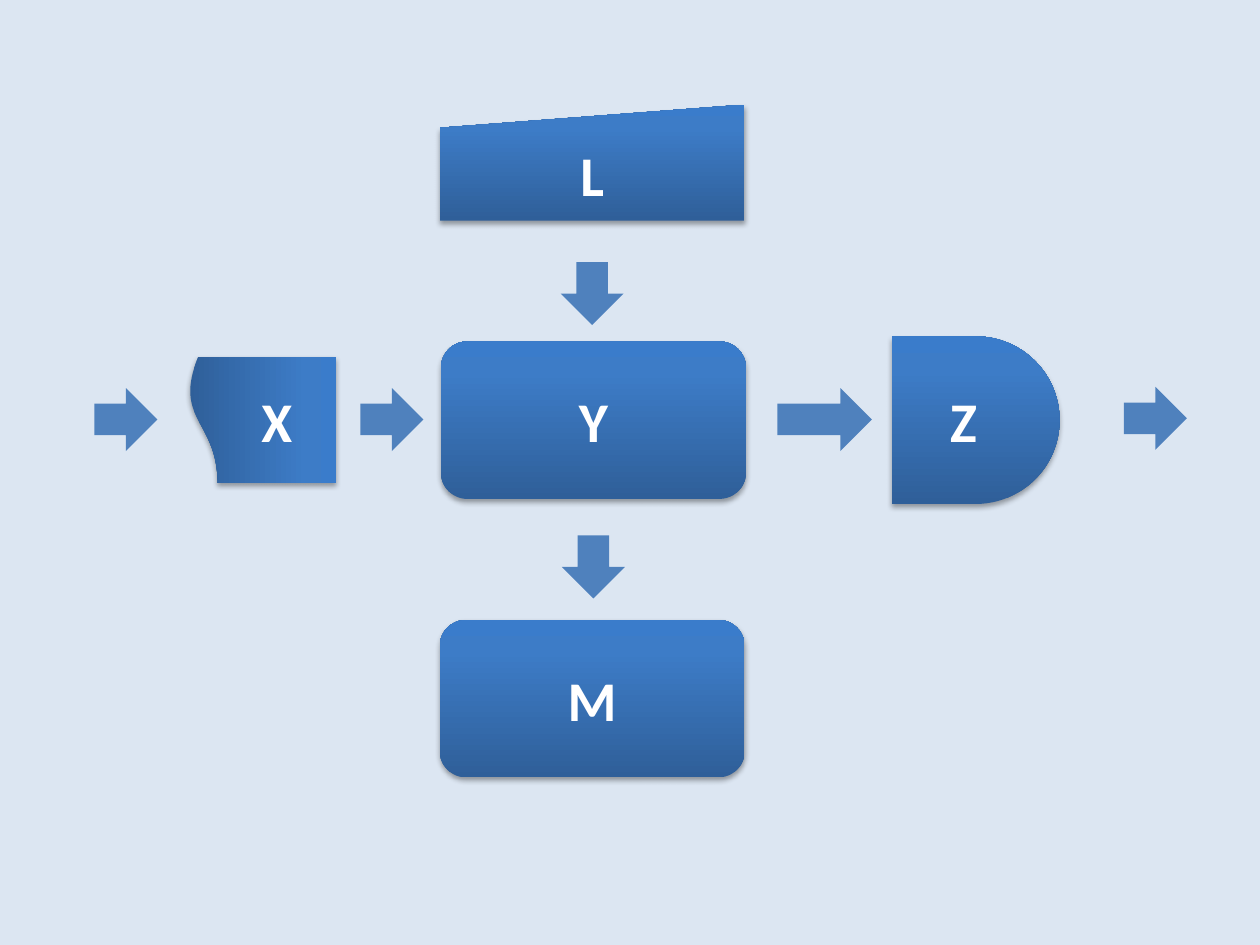
from dataclasses import dataclass

import lxml.etree
import pptx
import pptx.dml.color
import pptx.enum.shapes
import pptx.enum.text
import pptx.oxml.ns
import pptx.util

Inches = pptx.util.Inches
RGBColor = pptx.dml.color.RGBColor
Kind = pptx.enum.shapes.MSO_SHAPE
qn = pptx.oxml.ns.qn

BACKGROUND = RGBColor(0xDC, 0xE6, 0xF2)
ARROW_BLUE = RGBColor(0x4F, 0x81, 0xBD)
WHITE = RGBColor(0xFF, 0xFF, 0xFF)
BLACK = RGBColor(0x00, 0x00, 0x00)
GRADIENT = (
    (0, RGBColor(0x2F, 0x5F, 0x99)),
    (80, RGBColor(0x3D, 0x7C, 0xC7)),
    (100, RGBColor(0x3A, 0x7C, 0xCB)),
)


@dataclass(frozen=True)
class Block:
    label: str
    kind: Kind
    left: float
    top: float
    width: float
    height: float
    rotation: int = 0


@dataclass(frozen=True)
class Arrow:
    left: float
    top: float
    width: float = 0.5
    rotation: int = 0


BLOCKS = (
    Block("Z", Kind.FLOWCHART_DELAY, 7.08, 2.67, 1.33, 1.33),
    Block("Y", Kind.FLOWCHART_ALTERNATE_PROCESS, 3.5, 2.71, 2.42, 1.25),
    Block("M", Kind.FLOWCHART_ALTERNATE_PROCESS, 3.49, 4.92, 2.42, 1.25),
    Block("L", Kind.FLOWCHART_MANUAL_INPUT, 3.49, 0.83, 2.42, 0.92),
    Block("X", Kind.FLOWCHART_DOCUMENT, 1.58, 2.75, 1, 1.17, rotation=90),
)
ARROWS = (
    Arrow(2.86, 3.08),
    Arrow(6.17, 3.08, width=0.75),
    Arrow(4.45, 2.08, rotation=90),
    Arrow(4.46, 4.25, rotation=90),
    Arrow(0.75, 3.08),
    Arrow(8.92, 3.07),
)


def add_outline(page, kind: Kind, left: float, top: float, width: float,
                height: float, rotation: int):
    """Add a preset shape with no line and no shadow."""
    shape = page.shapes.add_shape(
        kind, Inches(left), Inches(top), Inches(width), Inches(height))
    shape.rotation = rotation
    shape.shadow.inherit = False
    shape.line.fill.background()
    return shape


def add_color(parent, color: RGBColor):
    return lxml.etree.SubElement(parent, qn("a:srgbClr"), val=str(color))


def fill_gradient(shape) -> None:
    """Shade the shape from dark at its bottom to bright at its top."""
    shape.fill.gradient()
    shape.fill.gradient_angle = 90
    stops = shape.element.spPr.find(qn("a:gradFill")).find(qn("a:gsLst"))
    for stop in list(stops):
        stops.remove(stop)
    for percent, color in GRADIENT:
        stop = lxml.etree.SubElement(stops, qn("a:gs"), pos=str(percent * 1000))
        add_color(stop, color)


def add_shadow(shape) -> None:
    effects = shape.element.spPr.find(qn("a:effectLst"))
    shadow = lxml.etree.SubElement(
        effects, qn("a:outerShdw"), blurRad=str(pptx.util.Pt(3.1)),
        dist=str(pptx.util.Pt(1.8)), dir=str(90 * 60000), rotWithShape="0")
    color = add_color(shadow, BLACK)
    lxml.etree.SubElement(color, qn("a:alpha"), val="35000")


def write_text(shape, text: str, *, size: float, color: RGBColor,
               font: str = "Calibri", bold: bool = False) -> None:
    frame = shape.text_frame
    frame.word_wrap = True
    frame.vertical_anchor = pptx.enum.text.MSO_ANCHOR.MIDDLE
    para = frame.paragraphs[0]
    para.alignment = pptx.enum.text.PP_ALIGN.CENTER
    span = para.add_run()
    span.text = text
    span.font.name = font
    span.font.size = pptx.util.Pt(size)
    span.font.bold = bold
    span.font.color.rgb = color


def draw_block(page, block: Block) -> None:
    shape = add_outline(page, block.kind, block.left, block.top,
                        block.width, block.height, block.rotation)
    fill_gradient(shape)
    add_shadow(shape)
    write_text(shape, block.label, size=32, color=WHITE, bold=True)
    if block.rotation:
        # Turn the text back so that it stays upright.
        shape.element.txBody.find(qn("a:bodyPr")).set("vert", "vert270")


def draw_arrow(page, arrow: Arrow) -> None:
    shape = add_outline(page, Kind.RIGHT_ARROW, arrow.left, arrow.top,
                        arrow.width, 0.5, arrow.rotation)
    shape.fill.solid()
    shape.fill.fore_color.rgb = ARROW_BLUE


def main() -> None:
    deck = pptx.Presentation()
    deck.slide_width, deck.slide_height = Inches(10), Inches(7.5)
    page = deck.slides.add_slide(deck.slide_layouts[6])
    page.background.fill.solid()
    page.background.fill.fore_color.rgb = BACKGROUND
    for block in BLOCKS:
        draw_block(page, block)
    for arrow in ARROWS:
        draw_arrow(page, arrow)
    deck.save("out.pptx")


if __name__ == "__main__":
    main()
